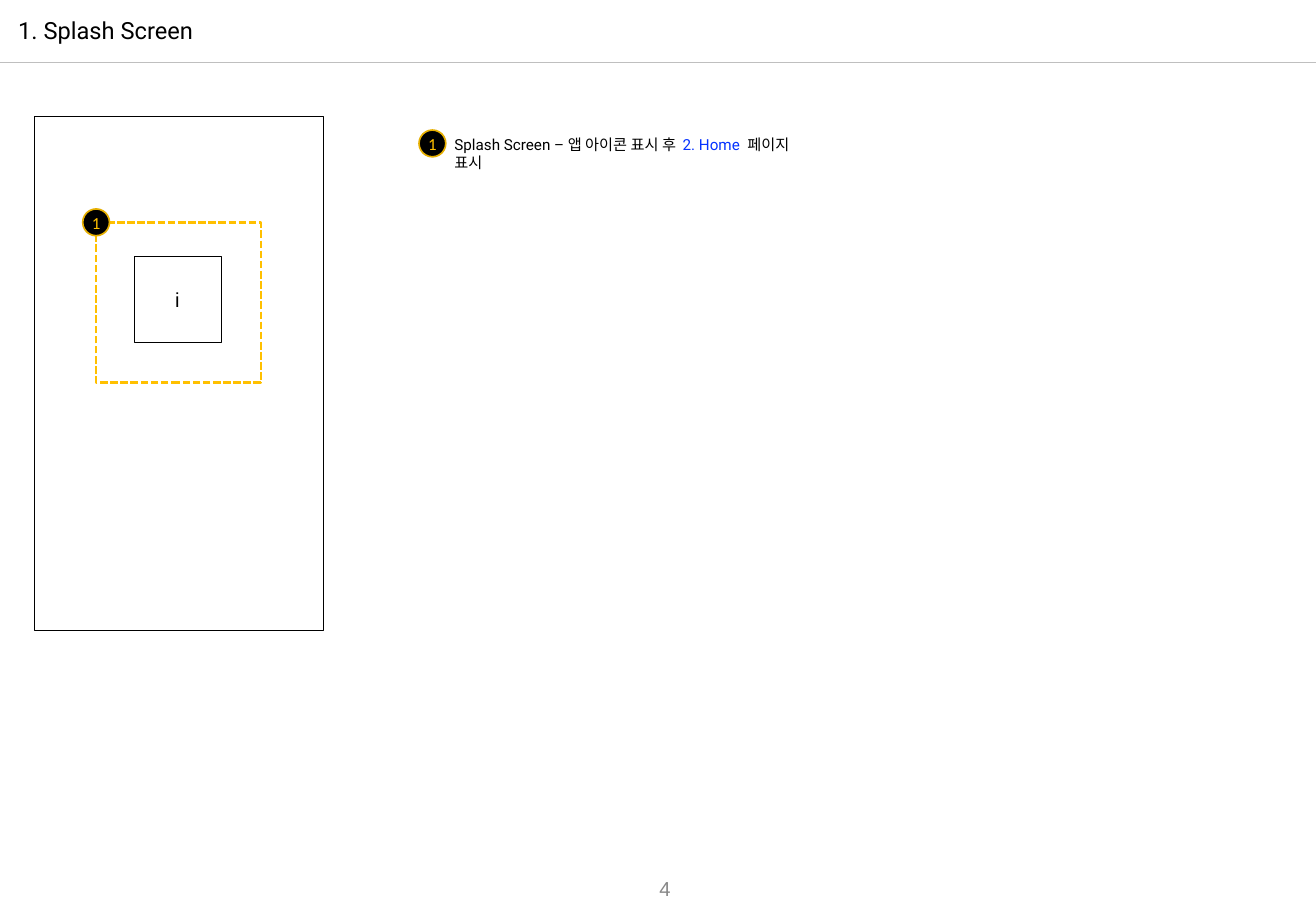
from lxml.etree import SubElement
from pptx import Presentation
from pptx.dml.color import RGBColor
from pptx.enum.dml import MSO_LINE
from pptx.enum.shapes import MSO_CONNECTOR, MSO_SHAPE
from pptx.enum.text import MSO_ANCHOR, MSO_AUTO_SIZE, PP_ALIGN
from pptx.oxml.ns import qn
from pptx.util import Cm, Pt

BLACK, WHITE, GREY, RULE = "000000", "FFFFFF", "888888", "BFBFBF"
AMBER, AMBER_EDGE, BLUE = "FFC000", "E6AF00", "0432FF"

WIDTH, HEIGHT = 27.51, 19.05
RULE_TOP = 1.3
BADGE_SIZE = 0.56
INSET = 0.13

TITLE = "1. Splash Screen"
PAGE_NUMBER = "4"
NOTES = [
    ("1", [("Splash Screen – 앱 아이콘 표시 후 ", BLACK),
           (" 2. Home ", BLUE),
           (" 페이지 표시", BLACK)]),
]
# left, top, width, height in centimetres
PHONE = (0.71, 2.44, 6.05, 10.74)
ICON = (2.8, 5.36, 1.82, 1.8)
HIGHLIGHT = (2.01, 4.65, 3.45, 3.35)
FIRST_BADGE = (9.04, 3.0)
NOTE_SIZE = (7.65, 0.64)
NOTE_PITCH = 1.2


def color(value):
    """Turn a hex string into a colour."""
    return RGBColor.from_string(value)


def write(shape, spans, font="Roboto", size=9, align=PP_ALIGN.LEFT,
          anchor=MSO_ANCHOR.MIDDLE, inset=0, wrap=True):
    """Fill a shape with one paragraph of (text, colour) spans."""
    frame = shape.text_frame
    frame.word_wrap = wrap
    frame.auto_size = MSO_AUTO_SIZE.NONE
    frame.vertical_anchor = anchor
    frame.margin_left = frame.margin_right = Cm(inset)
    frame.margin_top = frame.margin_bottom = Cm(inset)
    para = frame.paragraphs[0]
    para.alignment = align
    for text, ink in spans:
        span = para.add_run()
        span.text = text
        span.font.name = font
        span.font.size = Pt(size)
        span.font.color.rgb = color(ink)


def add_figure(kind, place, fill=None, line=BLACK, weight=0.25, dash=None):
    """Add a flat preset shape, without fill when none is given."""
    shape = page.shapes.add_shape(kind, *map(Cm, place))
    shape.shadow.inherit = False
    if fill:
        shape.fill.solid()
        shape.fill.fore_color.rgb = color(fill)
    else:
        shape.fill.background()
    shape.line.color.rgb = color(line)
    shape.line.width = Pt(weight)
    if dash:
        shape.line.dash_style = dash
    return shape


def add_badge(number, left, top):
    """Add a round numbered marker."""
    badge = add_figure(MSO_SHAPE.OVAL, (left, top, BADGE_SIZE, BADGE_SIZE),
                       fill=BLACK, line=AMBER_EDGE, weight=1)
    write(badge, [(number, AMBER)], font="Calibri", size=10,
          align=PP_ALIGN.CENTER, wrap=False)


deck = Presentation()
deck.slide_width, deck.slide_height = Cm(WIDTH), Cm(HEIGHT)
page = deck.slides.add_slide(deck.slide_layouts[5])

title = page.shapes.title
title.left, title.top, title.width, title.height = map(Cm, (0.38, 0.28, 13.39, 0.71))
write(title, [(TITLE, BLACK)], size=14)

rule = page.shapes.add_connector(MSO_CONNECTOR.STRAIGHT, Cm(0), Cm(RULE_TOP),
                                 Cm(WIDTH), Cm(RULE_TOP))
rule.line.color.rgb = color(RULE)
rule.line.width = Pt(0.75)
SubElement(rule.line._get_or_add_ln().getparent(), qn("a:effectLst"))

add_figure(MSO_SHAPE.RECTANGLE, PHONE, fill=WHITE)
icon = add_figure(MSO_SHAPE.RECTANGLE, ICON, fill=WHITE)
write(icon, [("i", BLACK)], font="Arial", size=12, align=PP_ALIGN.CENTER)
add_figure(MSO_SHAPE.RECTANGLE, HIGHLIGHT, line=AMBER, weight=1.5,
           dash=MSO_LINE.SQUARE_DOT)
add_badge(NOTES[0][0], HIGHLIGHT[0] - BADGE_SIZE / 2, HIGHLIGHT[1] - BADGE_SIZE / 2)

for index, (number, spans) in enumerate(NOTES):
    left, top = FIRST_BADGE[0] - BADGE_SIZE / 2, FIRST_BADGE[1] - BADGE_SIZE / 2
    top += index * NOTE_PITCH
    add_badge(number, left, top)
    note = page.shapes.add_textbox(Cm(left + BADGE_SIZE + 0.05), Cm(top - 0.03),
                                   *map(Cm, NOTE_SIZE))
    write(note, spans, anchor=MSO_ANCHOR.TOP, inset=INSET)

footer = page.shapes.add_textbox(*map(Cm, (13.39, 18.21, 0.76, 0.74)))
write(footer, [(PAGE_NUMBER, GREY)], font="Arial", size=12,
      align=PP_ALIGN.RIGHT, inset=INSET, wrap=False)

deck.save("out.pptx")
